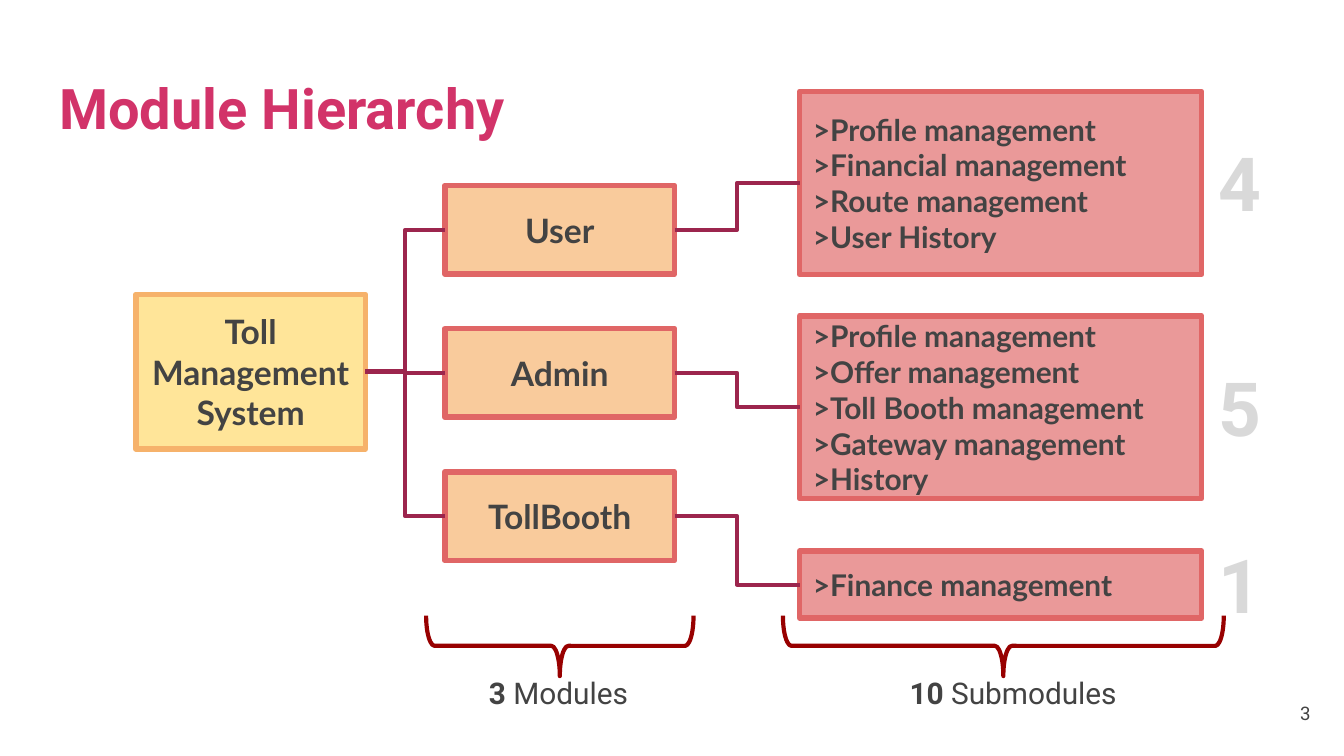
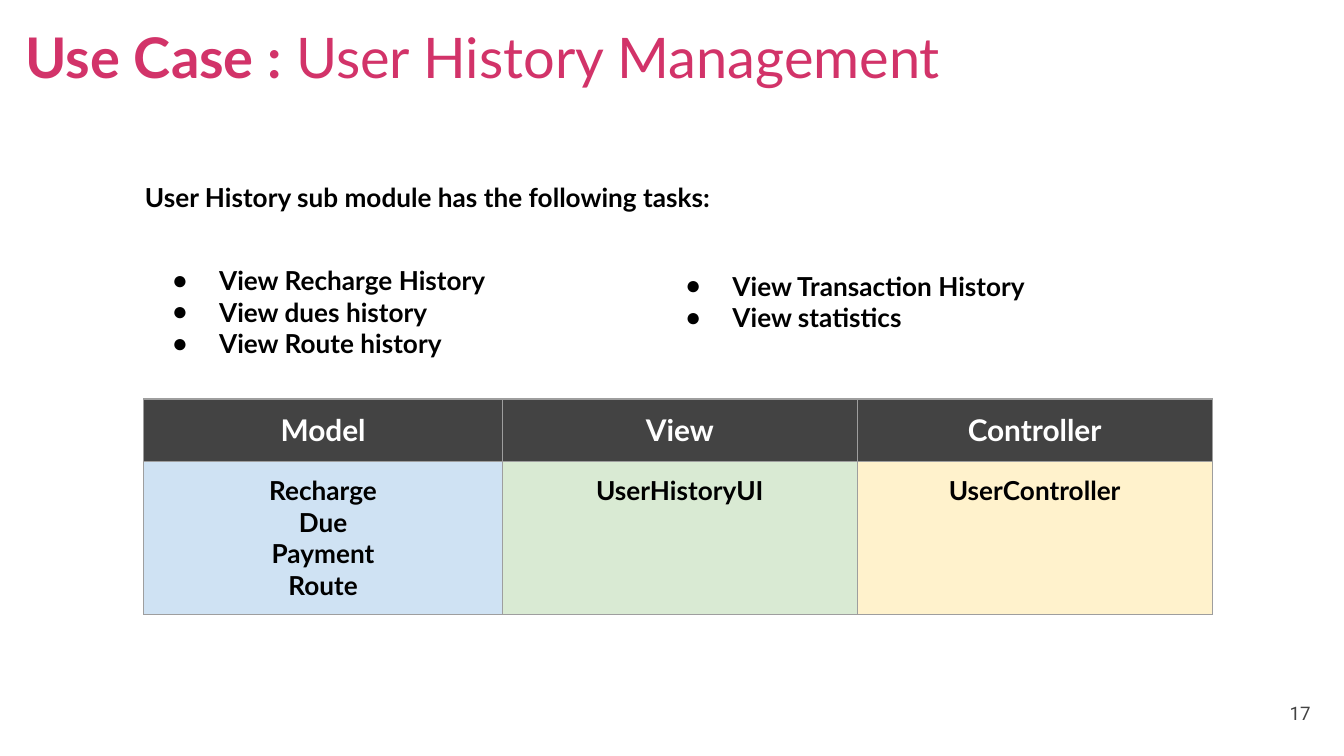
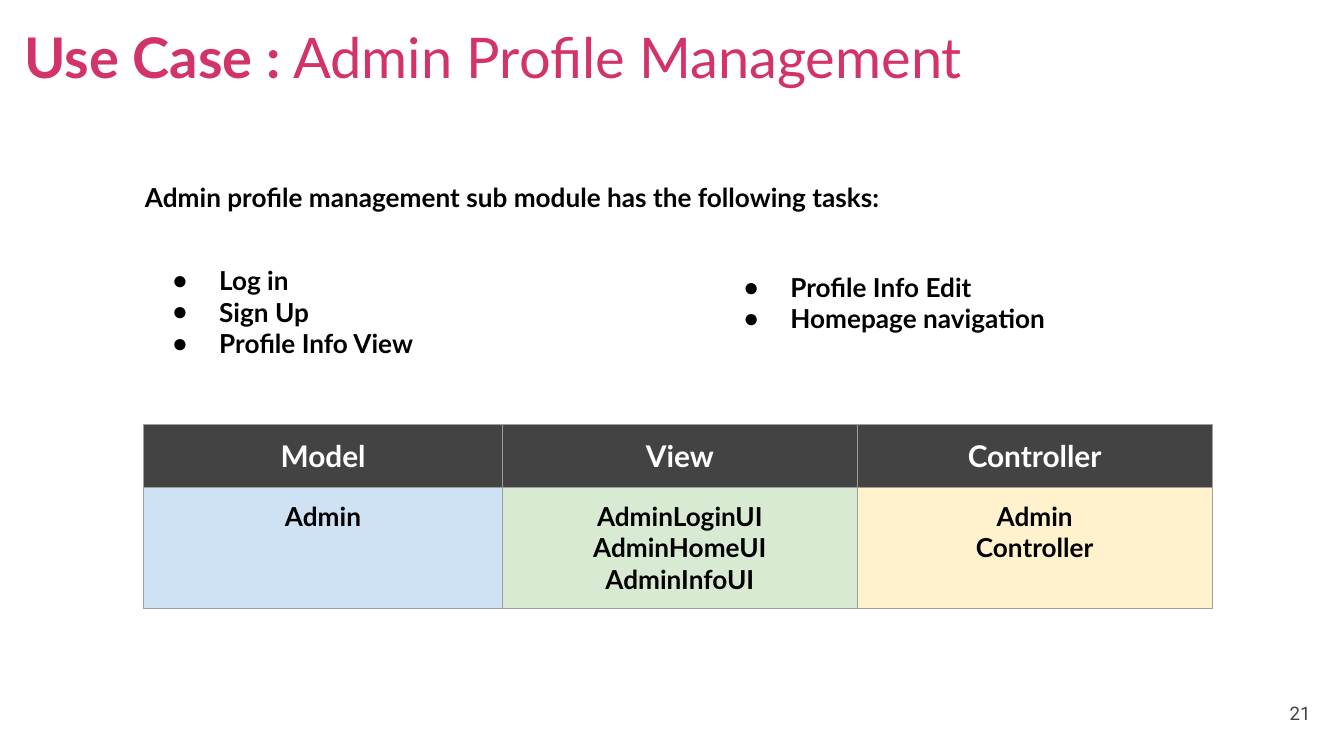
import pptx
import pptx.util
import pptx.dml.color
import pptx.enum.shapes
import pptx.enum.text
import pptx.oxml
import pptx.oxml.ns

Pt = pptx.util.Pt
KIND = pptx.enum.shapes.MSO_SHAPE
ALIGN = pptx.enum.text.PP_ALIGN
ANCHOR = pptx.enum.text.MSO_ANCHOR

ROOT = "Toll Management System"
TREE = [
    ("User", 49, 98, [">Profile management", ">Financial management",
                      ">Route management", ">User History"]),
    ("Admin", 169.2, 98, [">Profile management", ">Offer management",
                          ">Toll Booth management", ">Gateway management",
                          ">History"]),
    ("TollBooth", 295.2, 36, [">Finance management"]),
]
BRACES = [
    (299.9, 143.3, 254.9, 96.5, ("3", " Modules")),
    (537.5, 236.2, 480.2, 138.2, ("10", " Submodules")),
]
HEADS = ["Model", "View", "Controller"]
CASES = [
    {"page": "17", "title": ("Use Case :", " User History Management"),
     "left": 6.5,
     "intro": "User History sub module has the following tasks:",
     "lists": [(74.2, 134.6, ["View Recharge History", "View dues history",
                              "View Route history"]),
               (349.2, 137.5, ["View Transaction History", "View statistics"])],
     "top": 213.8,
     "cells": [["Recharge", "Due", "Payment", "Route"], ["UserHistoryUI"],
               ["UserController"]]},
    {"page": "21", "title": ("Use Case :", " Admin Profile Management"),
     "left": 5.8,
     "intro": "Admin profile management sub module has the following tasks:",
     "lists": [(74.2, 134.6, ["Log in", "Sign Up", "Profile Info View"]),
               (380.2, 138.2, ["Profile Info Edit", "Homepage navigation"])],
     "top": 227.5,
     "cells": [["Admin"], ["AdminLoginUI", "AdminHomeUI", "AdminInfoUI"],
               ["Admin\vController"]]},
]

PINK, DARK, PALE, BLACK, WHITE = "D23369", "434343", "D9D9D9", "000000", "FFFFFF"
WIRE, BRACE, GRID = "9C254D", "980000", "9E9E9E"
FILLS = ["CFE2F3", "D9EAD3", "FFF2CC"]
COLS = [192.2, 190.1, 190.1]
PAD = 7.2


def look(size, name, tint, bold=True, align=ALIGN.LEFT, anchor=ANCHOR.TOP):
    return {"font": {"size": Pt(size), "name": name, "bold": bold},
            "tint": tint, "align": align, "anchor": anchor}


MID = {"align": ALIGN.CENTER, "anchor": ANCHOR.MIDDLE}
TITLE = look(30, "Roboto", PINK)
CASE = look(30, "Lato", PINK)
NODE = look(18, "Lato", DARK, **MID)
LEAF = look(16, "Lato", DARK, anchor=ANCHOR.MIDDLE)
COUNT = look(40, "Roboto", PALE)
LABEL = look(16, "Roboto", DARK)
PAGE = look(10, "Roboto", DARK, False, ALIGN.RIGHT, ANCHOR.MIDDLE)
TASK = look(14, "Lato", BLACK)
HEAD = look(16, "Lato", WHITE, align=ALIGN.CENTER)
CELL = look(14, "Lato", BLACK, align=ALIGN.CENTER)


def shade(tint):
    return pptx.dml.color.RGBColor.from_string(tint)


def form(item, values):
    for key, value in values.items():
        setattr(item, key, value)


def node(parent, tag, **values):
    item = pptx.oxml.parse_xml(
        f'<a:{tag} {pptx.oxml.ns.nsdecls("a")}/>')
    for key, value in values.items():
        item.set(key, str(value))
    parent.append(item)
    return item


def ink(para, text, style, bold):
    for turn, part in enumerate(text.split("\v")):
        if turn:
            para.add_line_break()
        run = para.add_run()
        run.text = part
        form(run.font, {**style["font"], "bold": bold})
        run.font.color.rgb = shade(style["tint"])


def fill_text(frame, lines, style):
    for turn, line in enumerate(lines):
        para = frame.add_paragraph() if turn else frame.paragraphs[0]
        form(para, {"alignment": style["align"], "space_before": Pt(0)})
        parts = (line,) if isinstance(line, str) else line
        for rank, text in enumerate(parts):
            ink(para, text, style, style["font"]["bold"] and rank == 0)


def write(shape, lines, style):
    sides = ("left", "top", "right", "bottom")
    form(shape.text_frame, {
        "word_wrap": True, "auto_size": pptx.enum.text.MSO_AUTO_SIZE.NONE,
        "vertical_anchor": style["anchor"],
        **{f"margin_{side}": Pt(PAD) for side in sides}})
    fill_text(shape.text_frame, lines, style)


def place(shape, *area):
    form(shape, dict(zip(("left", "top", "width", "height"), map(Pt, area))))


def label(slide, area, line, style):
    write(slide.shapes.add_textbox(*map(Pt, area)), [line], style)


def shape(slide, kind, area, line, width, fill=None):
    item = slide.shapes.add_shape(kind, *map(Pt, area))
    item.shadow.inherit = False
    form(item.line, {"width": Pt(width)})
    item.line.color.rgb = shade(line)
    if fill:
        item.fill.solid()
        item.fill.fore_color.rgb = shade(fill)
    else:
        item.fill.background()
    return item


def box(slide, area, fill, line, lines, style):
    item = shape(slide, KIND.RECTANGLE, area, line, 3, fill)
    write(item, lines, style)
    return item


def join(slide, start, end):
    wire = slide.shapes.add_connector(
        pptx.enum.shapes.MSO_CONNECTOR.ELBOW, 0, 0, 0, 0)
    wire.begin_connect(start, 3)
    wire.end_connect(end, 1)
    wire.line.width = Pt(2.25)
    wire.line.color.rgb = shade(WIRE)
    node(wire._element.spPr, "effectLst")


def start(deck, layout, title, area, style, page):
    slide = deck.slides.add_slide(deck.slide_layouts[layout])
    place(slide.shapes.title, *area)
    write(slide.shapes.title, [title], style)
    label(slide, (666, 366.5, 43.2, 31), page, PAGE)
    return slide


def draw_tree(deck):
    slide = start(deck, 5, "Module Hierarchy", (24.5, 32.4, 671, 47.5),
                  TITLE, "3")
    root = box(slide, (72.7, 157.7, 123.1, 82.8), "FFE599", "F6B26B",
               [ROOT], NODE)
    for turn, (name, top, high, tasks) in enumerate(TREE):
        module = box(slide, (238.3, 99.4 + 76.7 * turn, 123.1, 47.5),
                     "F9CB9C", "E06666", [name], NODE)
        leaf = box(slide, (428.4, top, 215.3, high), "EA9999", "E06666",
                   tasks, LEAF)
        join(slide, root, module)
        join(slide, module, leaf)
        label(slide, (645.8, top + high / 2 - 31.7, 37.4, 63.4),
              str(len(tasks)), COUNT)
    for mid, span, left, wide, text in BRACES:
        brace = shape(slide, KIND.RIGHT_BRACE,
                      (mid - 16.2, 346 - span / 2, 32.4, span), BRACE, 2.25)
        brace.rotation = 90
        brace.adjustments[0], brace.adjustments[1] = 0.14, 0.5
        label(slide, (left, 354.2, wide, 33.8), text, LABEL)


def dot(para):
    props = para._p.get_or_add_pPr()
    props.set("marL", str(Pt(36)))
    props.set("indent", str(Pt(-25.2)))
    node(node(props, "buClr"), "srgbClr", val=BLACK)
    node(props, "buChar", char="●")


def edge(cell):
    props = cell._tc.get_or_add_tcPr()
    for side in "LRTB":
        line = node(props, "ln" + side, w=Pt(0.75))
        node(node(line, "solidFill"), "srgbClr", val=GRID)


def draw_grid(slide, top, cells):
    highs = [16 * 1.2 + 2 * PAD, 14 * 1.2 * max(map(len, cells)) + 2 * PAD]
    table = slide.shapes.add_table(
        2, 3, *map(Pt, (77, top, sum(COLS), sum(highs)))).table
    form(table, {"first_row": False, "horz_banding": False})
    for row, high in zip(table.rows, highs):
        row.height = Pt(high)
    for col, wide in enumerate(COLS):
        table.columns[col].width = Pt(wide)
        parts = [([HEADS[col]], HEAD, DARK), (cells[col], CELL, FILLS[col])]
        for row, (lines, style, tint) in enumerate(parts):
            cell = table.cell(row, col)
            form(cell, {f"margin_{side}": Pt(PAD)
                        for side in ("left", "top", "right", "bottom")})
            edge(cell)
            cell.fill.solid()
            cell.fill.fore_color.rgb = shade(tint)
            fill_text(cell.text_frame, lines, style)


def draw_case(deck, case):
    slide = start(deck, 3, case["title"], (case["left"], 5, 531.4, 43.2),
                  CASE, case["page"])
    label(slide, (70.6, 90, 578.2, 31.7), case["intro"], TASK)
    for spot, (left, top, tasks) in enumerate(case["lists"], 1):
        body = slide.placeholders[spot]
        place(body, left, top, 285.8, 16.8 * len(tasks) + 2 * PAD)
        write(body, tasks, TASK)
        for para in body.text_frame.paragraphs:
            dot(para)
    draw_grid(slide, case["top"], case["cells"])


def main():
    deck = pptx.Presentation()
    form(deck, {"slide_width": Pt(720), "slide_height": Pt(405)})
    draw_tree(deck)
    for case in CASES:
        draw_case(deck, case)
    deck.save("out.pptx")


if __name__ == "__main__":
    main()
